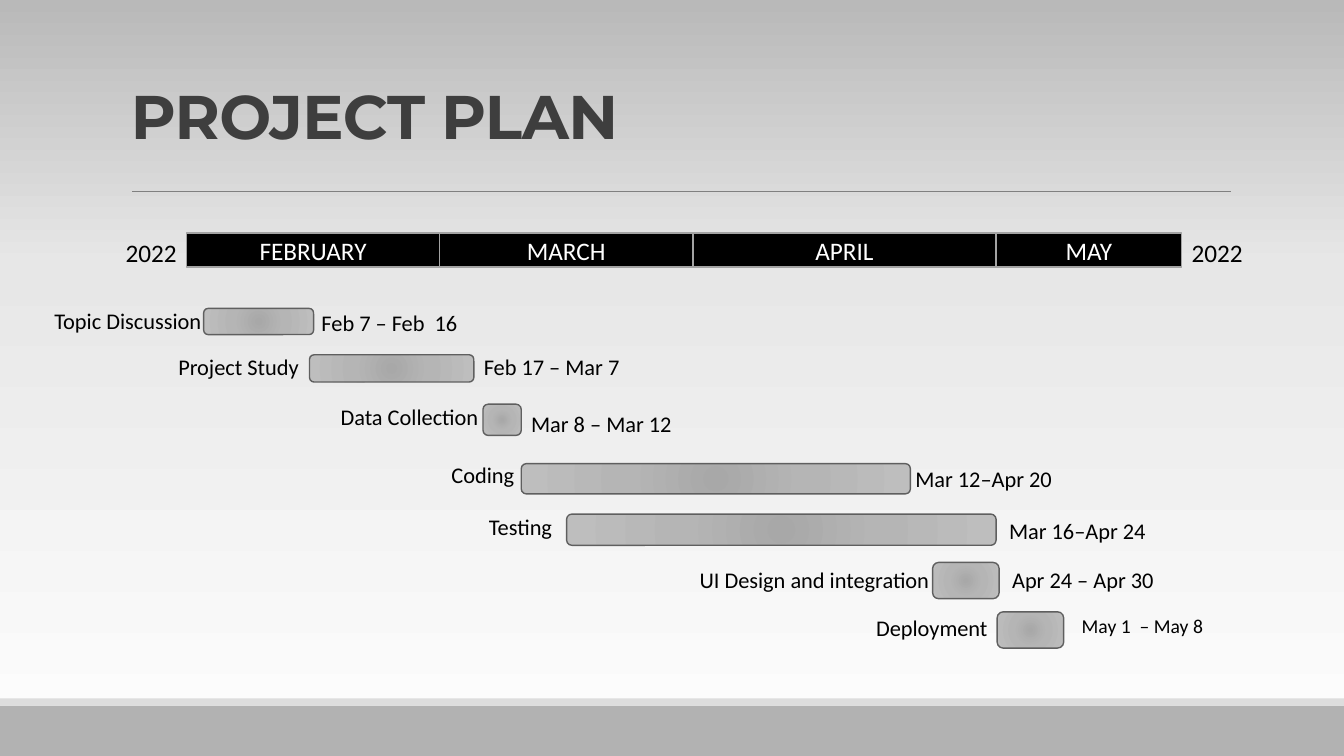
from lxml.etree import SubElement
from pptx import Presentation
from pptx.dml.color import RGBColor
from pptx.enum.shapes import MSO_CONNECTOR, MSO_SHAPE
from pptx.enum.text import MSO_ANCHOR, PP_ALIGN
from pptx.oxml.ns import qn
from pptx.util import Inches, Pt

# Content
TITLE = "PROJECT PLAN"
YEAR = "2022"
MONTHS = [("FEBRUARY", 2.51), ("MARCH", 2.51), ("APRIL", 3.01), ("MAY", 1.84)]
# Each task: (name, left, top, width), bar (left, top, width, height),
# (dates, left, top, width, size)
TASKS = [
    (("Topic Discussion", 0.44, 3, 2.22), (2.02, 3.06, 1.09, 0.26),
     ("Feb 7 – Feb  16", 3.09, 3.02, 1.71, 16)),
    (("Project Study", 1.67, 3.45, 1.57), (3.07, 3.52, 1.63, 0.27),
     ("Feb 17 – Mar 7", 4.7, 3.45, 2.06, 16)),
    (("Data Collection", 3.28, 3.95, 1.8), (4.79, 4.01, 0.38, 0.31),
     ("Mar 8 – Mar 12", 5.17, 4.02, 2.2, 16)),
    (("Coding", 4.38, 4.53, 0.9), (5.17, 4.6, 3.86, 0.3),
     ("Mar 12–Apr 20", 8.98, 4.57, 1.64, 16)),
    (("Testing", 4.75, 5.04, 0.98), (5.62, 5.1, 4.26, 0.31),
     ("Mar 16–Apr 24", 9.91, 5.08, 1.64, 16)),
    (("UI Design and integration", 6.84, 5.57, 2.96), (9.25, 5.58, 0.66, 0.36),
     ("Apr 24 – Apr 30", 9.94, 5.57, 1.83, 16)),
    (("Deployment", 8.59, 6.04, 1.48), (9.89, 6.07, 0.66, 0.36),
     ("May 1  – May 8", 10.63, 6.04, 1.69, 14)),
]

COLORS = {
    "title": "3E3E3E", "text": "000000", "month": "000000", "month_text": "FFFFFF",
    "month_line": "A3A3A3", "bar_line": "5F5F5F", "rule": "808080",
    "footer": "B2B2B2", "footer_edge": "DDDDDD",
}
BACKGROUND = [(0, "FEFEFE"), (65, "E7E7E7"), (100, "B9B9B9")]
BAR_FILL = [(0, "A8A8A8"), (45, "B5B5B5"), (100, "BEBEBE")]


def rgb(name):
    return RGBColor.from_string(COLORS[name])


def set_gradient(fill, element, stops, angle=None):
    """Linear gradient at an angle, or a circular one without it."""
    fill.gradient()
    grad = element.find(".//" + qn("a:gradFill"))
    for child in list(grad):
        grad.remove(child)
    gs_list = SubElement(grad, qn("a:gsLst"))
    for pos, color in stops:
        gs = SubElement(gs_list, qn("a:gs"), pos=str(pos * 1000))
        SubElement(gs, qn("a:srgbClr"), val=color)
    if angle is not None:
        SubElement(grad, qn("a:lin"), ang=str(angle * 60000), scaled="0")
    else:
        circle = SubElement(grad, qn("a:path"), path="circle")
        SubElement(circle, qn("a:fillToRect"), {k: "100000" for k in "ltrb"})


def add_box(kind, box, fill=None, line=None, width=1):
    sp = s.shapes.add_shape(kind, *map(Inches, box))
    sp.shadow.inherit = False
    if fill:
        sp.fill.solid()
        sp.fill.fore_color.rgb = rgb(fill)
    if line:
        sp.line.color.rgb = rgb(line)
        sp.line.width = Pt(width)
    else:
        sp.line.fill.background()
    return sp


def set_text(sp, text, size, color="text", align=PP_ALIGN.LEFT,
             anchor=MSO_ANCHOR.TOP, font="Calibri"):
    tf = sp.text_frame
    tf.word_wrap = True
    tf.vertical_anchor = anchor
    p = tf.paragraphs[0]
    p.text = text
    p.alignment = align
    r = p.runs[0]
    r.font.size = Pt(size)
    r.font.name = font
    r.font.color.rgb = rgb(color)
    return p


def add_text(box, text, size, **style):
    return set_text(s.shapes.add_textbox(*map(Inches, box)), text, size, **style)


prs = Presentation()
prs.slide_width, prs.slide_height = Inches(13.33), Inches(7.5)
s = prs.slides.add_slide(prs.slide_layouts[6])

# Background, footer bands and rule
set_gradient(s.background.fill, s._element, BACKGROUND, 270)
add_box(MSO_SHAPE.RECTANGLE, (0, 7, 13.33, 0.5), "footer")
add_box(MSO_SHAPE.RECTANGLE, (0, 6.93, 13.33, 0.07), "footer_edge")
rule = s.shapes.add_connector(MSO_CONNECTOR.STRAIGHT, Inches(1.31), Inches(1.9),
                              Inches(12.21), Inches(1.9))
rule.line.color.rgb = rgb("rule")
rule.line.width = Pt(0.5)
SubElement(rule._element.spPr, qn("a:effectLst"))

# Title
p = add_text((1.2, 0.31, 11, 1.25), TITLE, 44, color="title",
             anchor=MSO_ANCHOR.BOTTOM, font="Montserrat")
p.line_spacing = 0.85
p.runs[0].font.bold = True
p.runs[0]._r.get_or_add_rPr().set("spc", "-50")

# Month header, each month starting where the last one ends
left = 1.85
for month, width in MONTHS:
    sp = add_box(MSO_SHAPE.RECTANGLE, (left, 2.31, width, 0.34),
                 "month", "month_line", 1.25)
    set_text(sp, month, 18, "month_text", PP_ALIGN.CENTER, MSO_ANCHOR.MIDDLE)
    left += width
add_text((0.78, 2.31, 1.07, 0.4), YEAR, 18, align=PP_ALIGN.RIGHT)
add_text((left, 2.31, 1.1, 0.4), YEAR, 18)

# Task rows: name, bar, dates
for (name, *name_box), bar_box, (dates, *dates_box, size) in TASKS:
    bar = add_box(MSO_SHAPE.ROUNDED_RECTANGLE, bar_box, line="bar_line")
    set_gradient(bar.fill, bar._element, BAR_FILL)
    add_text((*name_box, 0.37), name, 16)
    add_text((*dates_box, 0.37), dates, size)

prs.save("out.pptx")
